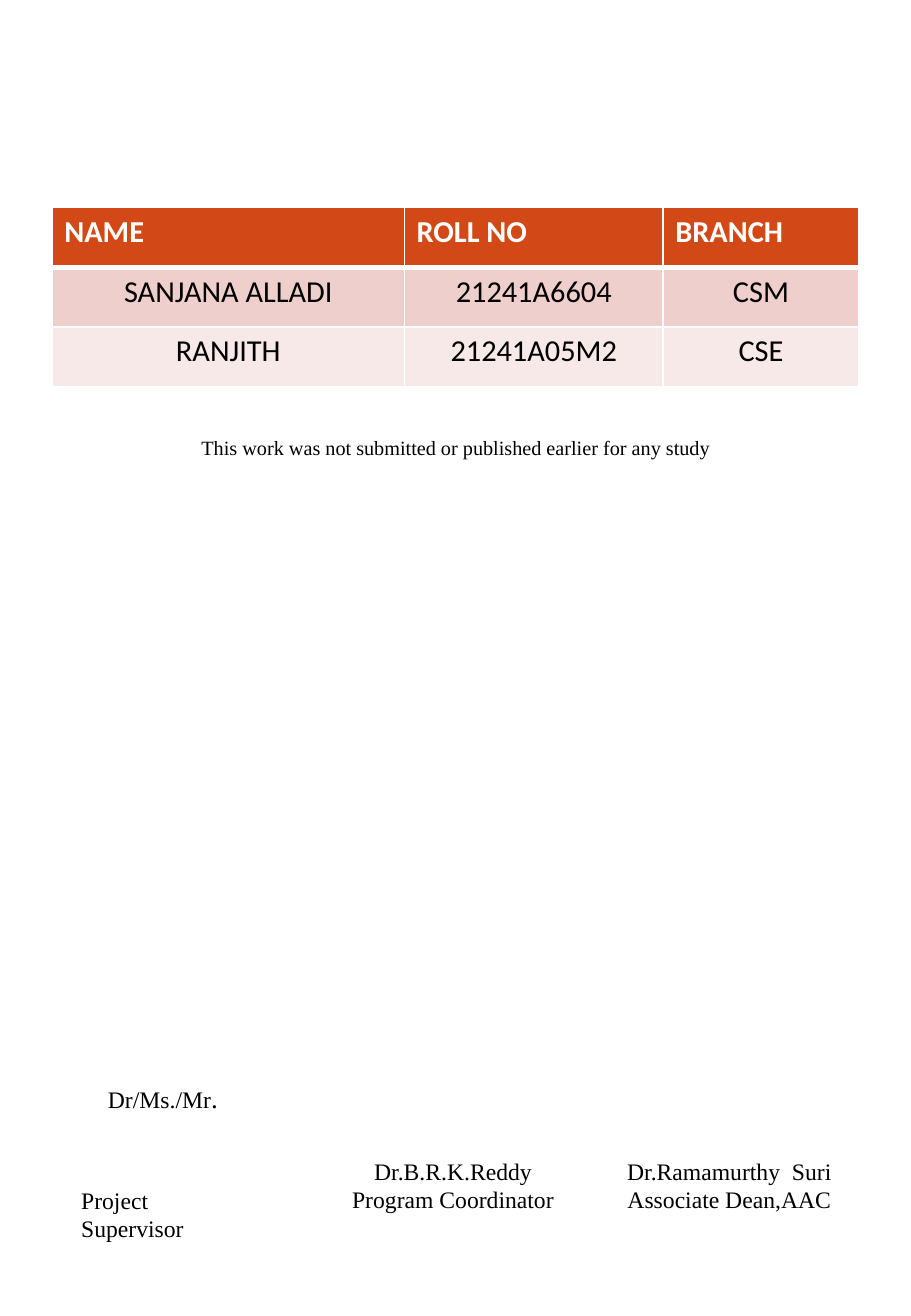
import lxml.etree
import pptx
import pptx.dml.color
import pptx.enum.text
import pptx.oxml.ns
import pptx.util

Inches = pptx.util.Inches
Pt = pptx.util.Pt
ALIGN = pptx.enum.text.PP_ALIGN
SERIF = "Times New Roman"
HEADER_FILL = "D34817"
ROW_FILLS = ["EFCFCC", "F7E9E8"]
STUDENTS = [
    ["NAME", "ROLL NO", "BRANCH"],
    ["SANJANA ALLADI", "21241A6604", "CSM"],
    ["RANJITH", "21241A05M2", "CSE"],
]
COLUMN_WIDTHS = [2.9, 2.13, 1.61]
ROW_HEIGHT = 0.49


def rgb(value):
    return pptx.dml.color.RGBColor.from_string(value)


def add_span(para, text, size, font=SERIF, color="000000", bold=False):
    span = para.add_run()
    span.text = text
    span.font.color.rgb = rgb(color)
    formats = {"size": Pt(size), "name": font, "bold": bold}
    for name, value in formats.items():
        setattr(span.font, name, value)


def add_text(page, place, lines, align=ALIGN.CENTER, wrap=True):
    """Add a text box; each line is a list of (text, size) spans."""
    box = page.shapes.add_textbox(*map(Inches, place))
    frame = box.text_frame
    frame.word_wrap = wrap
    frame.auto_size = pptx.enum.text.MSO_AUTO_SIZE.SHAPE_TO_FIT_TEXT
    for index, spans in enumerate(lines):
        para = frame.add_paragraph() if index else frame.paragraphs[0]
        para.alignment = align
        for text, size in spans:
            add_span(para, text, size)


def set_borders(cell, color, widths):
    """Draw cell borders; widths maps a side letter to points."""
    properties = cell._tc.get_or_add_tcPr()
    for index, (side, width) in enumerate(widths.items()):
        line = lxml.etree.Element(pptx.oxml.ns.qn(f"a:ln{side}"), w=str(Pt(width)))
        fill = lxml.etree.SubElement(line, pptx.oxml.ns.qn("a:solidFill"))
        lxml.etree.SubElement(fill, pptx.oxml.ns.qn("a:srgbClr"), val=color)
        properties.insert(index, line)


def add_student_table(page, left, top):
    rows, columns = len(STUDENTS), len(COLUMN_WIDTHS)
    size = (sum(COLUMN_WIDTHS), rows * ROW_HEIGHT)
    table = page.shapes.add_table(
        rows, columns, *map(Inches, (left, top, *size))).table
    for column, width in zip(table.columns, COLUMN_WIDTHS):
        column.width = Inches(width)
    for row_index, values in enumerate(STUDENTS):
        header = row_index == 0
        for column_index, value in enumerate(values):
            cell = table.cell(row_index, column_index)
            cell.fill.solid()
            cell.fill.fore_color.rgb = rgb(
                HEADER_FILL if header else ROW_FILLS[row_index - 1])
            set_borders(cell, "FFFFFF", {
                "L": 1, "R": 1,
                "T": 3 if row_index == 1 else 1,
                "B": 3 if header else 1,
            })
            para = cell.text_frame.paragraphs[0]
            para.alignment = ALIGN.LEFT if header else ALIGN.CENTER
            add_span(para, value, 18, "Calibri",
                     "FFFFFF" if header else "000000", header)


def main():
    deck = pptx.Presentation()
    deck.slide_width = Inches(7.5)
    deck.slide_height = Inches(10.83)
    page = deck.slides.add_slide(deck.slide_layouts[6])

    add_student_table(page, 0.43, 1.71)
    add_text(page, (0.73, 3.53, 6.05, 0.3),
             [[("This work was not submitted or published earlier for any study", 12)]])
    add_text(page, (0.79, 8.85, 1.11, 0.37),
             [[("Dr/Ms./Mr", 14), (".", 16)]], ALIGN.LEFT, False)
    add_text(page, (0.57, 9.71, 1.64, 0.34),
             [[("Project Supervisor", 14)]], ALIGN.LEFT, False)
    add_text(page, (2.62, 9.47, 2.22, 0.57),
             [[("Dr.B.R.K.Reddy", 14)], [("Program Coordinator", 14)]])
    add_text(page, (4.13, 9.47, 3.75, 0.57),
             [[("Dr.Ramamurthy  Suri", 14)], [("Associate Dean,AAC", 14)]])
    deck.save("out.pptx")


if __name__ == "__main__":
    main()
